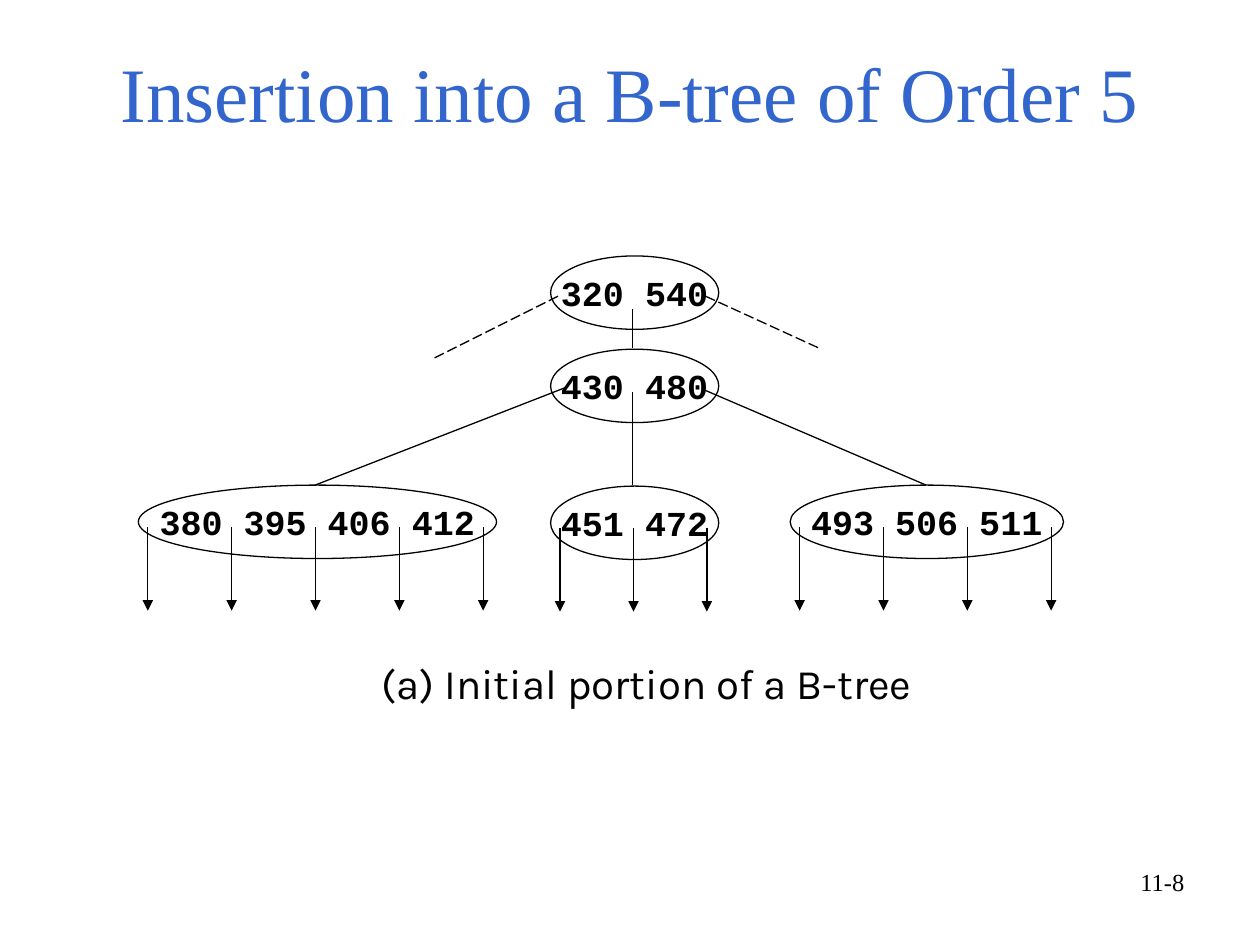
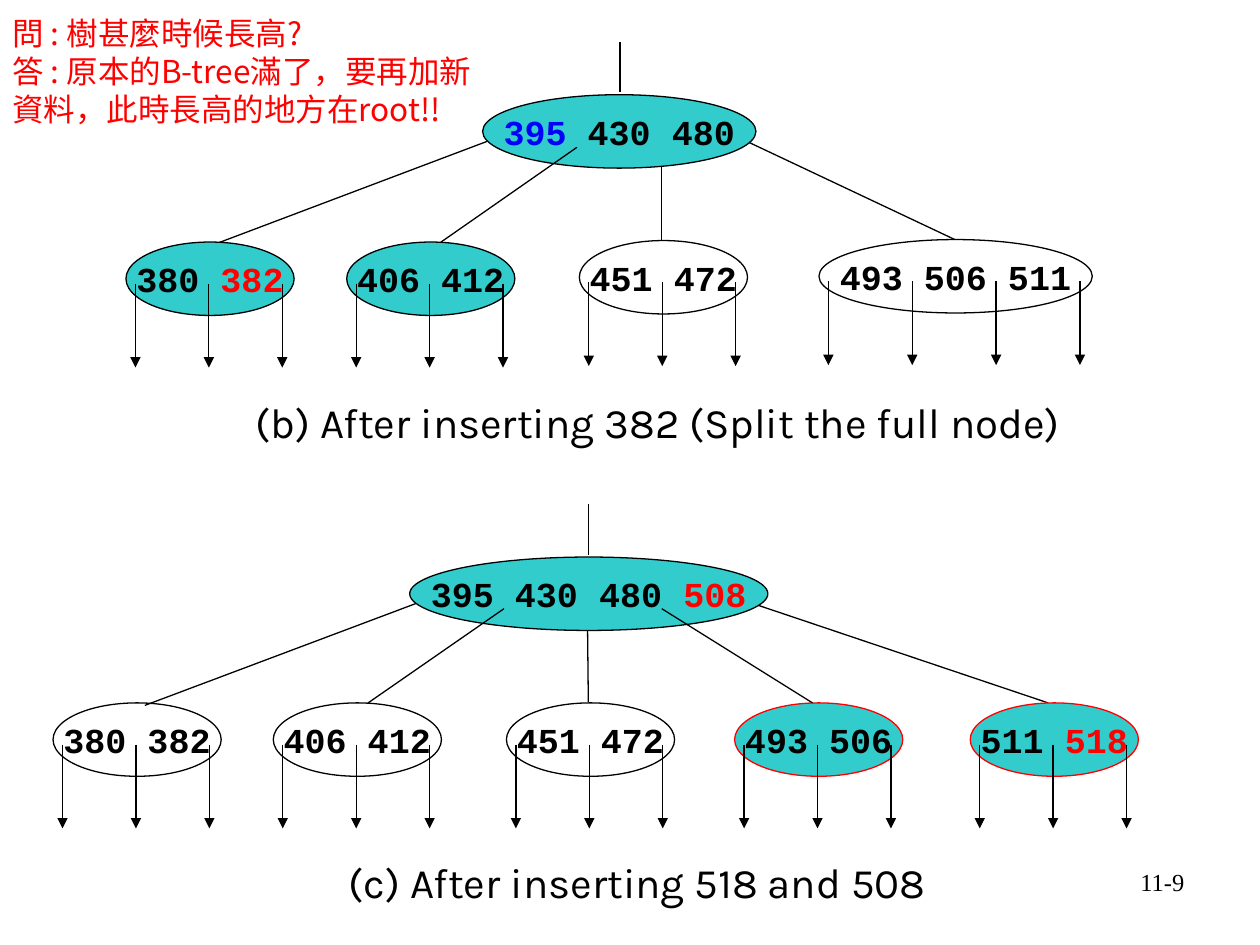
from lxml.etree import SubElement
from pptx import Presentation
from pptx.dml.color import RGBColor
from pptx.enum.dml import MSO_LINE
from pptx.enum.shapes import MSO_CONNECTOR, MSO_SHAPE
from pptx.enum.text import MSO_ANCHOR, MSO_AUTO_SIZE, PP_ALIGN
from pptx.oxml.ns import qn
from pptx.util import Cm, Pt

BLACK = RGBColor(0x00, 0x00, 0x00)
RED = RGBColor(0xFF, 0x00, 0x00)
BLUE = RGBColor(0x00, 0x00, 0xFF)
TITLE_BLUE = RGBColor(0x33, 0x66, 0xCC)
TEAL = RGBColor(0x33, 0xCC, 0xCC)

SERIF, MONO, SANS, CJK = "Times New Roman", "Courier New", "Karla", "Noto Sans CJK SC"

# Node sizes follow the number of keys; pointers hang below each leaf
NODE_W = {2: 3.39, 3: 5.51, 4: 7.22}
NODE_H = 1.48
POINTER_GAP = {2: 1.48, 3: 1.69, 4: 1.69}
POINTER_INSET, POINTER_DROP, POINTER_LEN = 0.19, 0.84, 1.69


def add_text(s, box, lines, size, font, color, align=PP_ALIGN.LEFT, wrap=True):
    tf = s.shapes.add_textbox(*[Cm(v) for v in box]).text_frame
    tf.word_wrap = wrap
    tf.auto_size = MSO_AUTO_SIZE.NONE
    for i, line in enumerate(lines):
        p = tf.add_paragraph() if i else tf.paragraphs[0]
        p.alignment = align
        r = p.add_run()
        r.text = line
        r.font.size, r.font.name = Pt(size), font
        r.font.color.rgb = color
        if font == CJK:
            SubElement(r.font._element, qn("a:ea")).set("typeface", font)
    return tf


def add_line(s, x1, y1, x2, y2, dashed=False, arrow=False):
    c = s.shapes.add_connector(MSO_CONNECTOR.STRAIGHT, Cm(x1), Cm(y1), Cm(x2), Cm(y2))
    c.line.color.rgb = BLACK
    c.line.width = Pt(0.75)
    if dashed:
        c.line.dash_style = MSO_LINE.LONG_DASH
    if arrow:
        SubElement(c.line._get_or_add_ln(), qn("a:tailEnd")).set("type", "triangle")
    SubElement(c._element.spPr, qn("a:effectLst"))


prs = Presentation()
prs.slide_width, prs.slide_height = Cm(25.4), Cm(19.05)
title_slide = prs.slides.add_slide(prs.slide_layouts[5])
split_slide = prs.slides.add_slide(prs.slide_layouts[6])

# Title
sp = title_slide.shapes.title
sp.left, sp.top, sp.width, sp.height = Cm(1.27), Cm(0.76), Cm(22.86), Cm(2.16)
tf = sp.text_frame
tf.vertical_anchor = MSO_ANCHOR.MIDDLE
p = tf.paragraphs[0]
p.alignment = PP_ALIGN.CENTER
r = p.add_run()
r.text = "Insertion into a B-tree of Order 5"
r.font.size, r.font.name = Pt(44), SERIF
r.font.color.rgb = TITLE_BLUE

# Trees: nodes are (left, top, keys, fill, outline), edges are (x1, y1, x2, y2)
trees = [
    {
        "slide": title_slide,
        "caption": ("(a) Initial portion of a B-tree", 7.44, 13.13, 11.48),
        "edges_behind": [],
        "inner": [(11.1, 5.16, "320 540", None, BLACK),
                  (11.1, 7.04, "430 480", None, BLACK)],
        "leaves": [(2.79, 9.78, "380 395 406 412", None, BLACK),
                   (11.1, 9.8, "451 472", None, BLACK),
                   (15.93, 9.78, "493 506 511", None, BLACK)],
        "edges_front": [(12.75, 7.01, 12.75, 6.22), (12.75, 9.78, 12.75, 7.9),
                        (11.38, 7.82, 6.35, 9.78), (14.22, 7.87, 18.67, 9.78),
                        (11.25, 5.97, 8.71, 7.24, True),
                        (14.22, 5.97, 16.56, 7.04, True)],
        "key_colors": {},
    },
    {
        "slide": split_slide,
        "caption": ("(b) After inserting 382 (Split the full node)", 4.9, 7.87, 16.87),
        "edges_behind": [(12.5, 1.85, 12.5, 0.84), (13.34, 4.83, 13.34, 2.97),
                         (10.11, 2.74, 4.39, 4.9), (14.78, 2.72, 19.25, 4.83)],
        "inner": [(9.73, 1.91, "395 430 480", TEAL, BLACK)],
        "leaves": [(2.54, 4.88, "380 382", TEAL, BLACK),
                   (6.99, 4.88, "406 412", TEAL, BLACK),
                   (11.68, 4.85, "451 472", None, BLACK),
                   (16.51, 4.83, "493 506 511", None, BLACK)],
        "edges_front": [(11.63, 2.97, 8.89, 4.88)],
        "key_colors": {"395": BLUE, "382": RED},
    },
    {
        "slide": split_slide,
        "caption": ("(c) After inserting 518 and 508", 6.78, 17.15, 12.45),
        "edges_behind": [(11.86, 11.18, 11.86, 10.16), (11.86, 14.15, 11.84, 12.27),
                         (8.64, 12.07, 2.92, 14.22), (15.04, 12.12, 21.13, 14.17)],
        "inner": [(8.26, 11.23, "395 430 480 508", TEAL, BLACK)],
        "leaves": [(1.07, 14.17, "380 382", None, BLACK),
                   (5.51, 14.17, "406 412", None, BLACK),
                   (10.21, 14.17, "451 472", None, BLACK),
                   (14.81, 14.17, "493 506", TEAL, RED),
                   (19.56, 14.17, "511 518", TEAL, RED)],
        "edges_front": [(10.16, 12.27, 7.42, 14.17), (13.34, 12.27, 16.38, 14.17)],
        "key_colors": {"508": RED, "518": RED},
    },
]

for tree in trees:
    s = tree["slide"]
    for edge in tree["edges_behind"]:
        add_line(s, *edge)

    # Nodes, one run per key
    for left, top, node_keys, fill, outline in tree["inner"] + tree["leaves"]:
        keys = node_keys.split()
        sp = s.shapes.add_shape(MSO_SHAPE.OVAL, Cm(left), Cm(top),
                                Cm(NODE_W[len(keys)]), Cm(NODE_H))
        sp.shadow.inherit = False
        sp.line.color.rgb = outline
        sp.line.width = Pt(0.75)
        if fill:
            sp.fill.solid()
            sp.fill.fore_color.rgb = fill
        else:
            sp.fill.background()
        tf = sp.text_frame
        tf.word_wrap = False
        tf.vertical_anchor = MSO_ANCHOR.MIDDLE
        p = tf.paragraphs[0]
        p.alignment = PP_ALIGN.CENTER
        for i, key in enumerate(keys):
            r = p.add_run()
            r.text = f" {key}" if i else key
            r.font.size, r.font.name, r.font.bold = Pt(20), MONO, True
            r.font.color.rgb = tree["key_colors"].get(key, BLACK)

    for edge in tree["edges_front"]:
        add_line(s, *edge)

    # Leaf pointers, one more than there are keys
    for left, top, node_keys, fill, outline in tree["leaves"]:
        n = len(node_keys.split())
        y = top + POINTER_DROP
        for i in range(n + 1):
            x = left + POINTER_INSET + i * POINTER_GAP[n]
            add_line(s, x, y, x, y + POINTER_LEN, arrow=True)

    caption, left, top, width = tree["caption"]
    add_text(s, (left, top, width, 1.27), [caption], 24, SANS, BLACK, wrap=False)

# Question and answer
tf = add_text(split_slide, (0, 0.15, 10.36, 3.3),
              ["問 : 樹甚麼時候長高?",
               "答 : 原本的B-tree滿了，要再加新資料，此時長高的地方在root!!"],
              18, CJK, RED)
for p in tf.paragraphs:
    p.line_spacing = Pt(21.7)

# Page numbers
for number, s in enumerate(prs.slides, 8):
    add_text(s, (18.21, 17.35, 5.92, 1.32), [f"11-{number}"], 14, SERIF, BLACK,
             align=PP_ALIGN.RIGHT)

prs.save("out.pptx")
